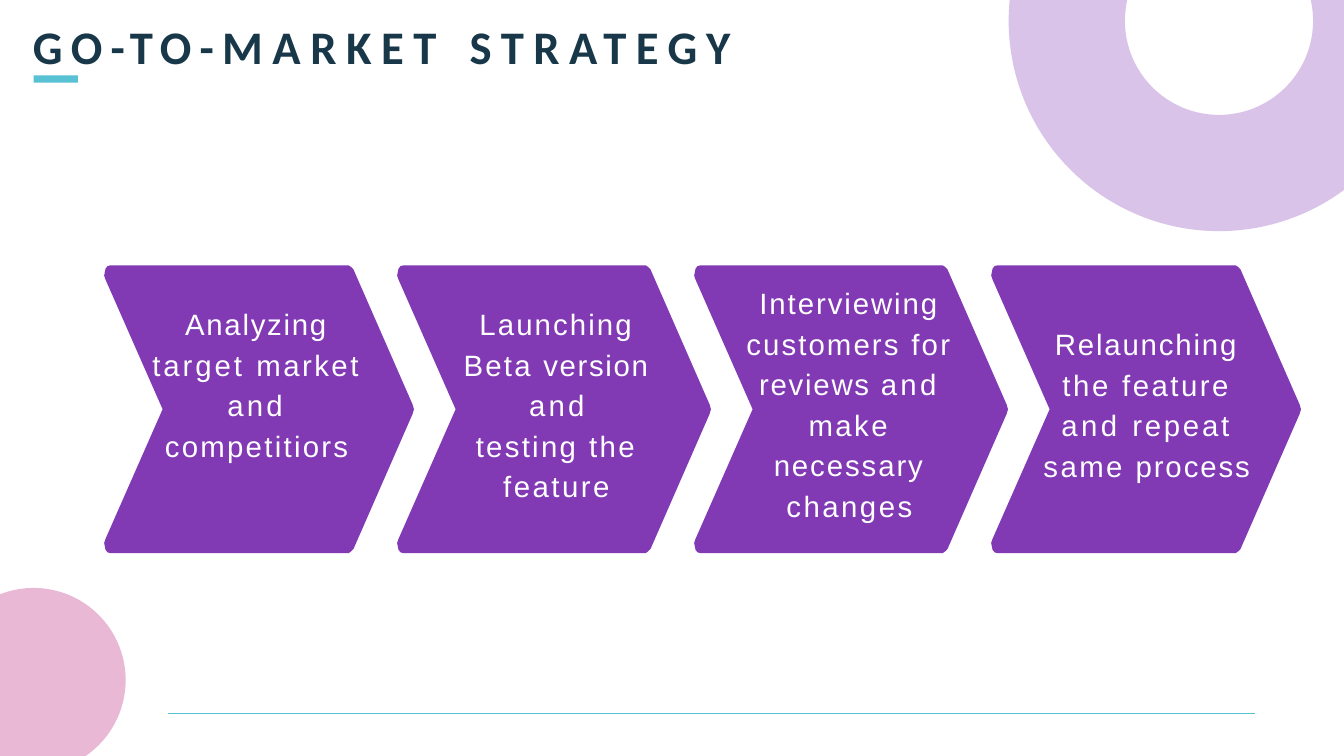
import math
from lxml import etree
from pptx import Presentation
from pptx import util as u
from pptx.dml import color
from pptx.enum import shapes, text
from pptx.oxml import ns

deck = Presentation()
deck.slide_width, deck.slide_height = u.Inches(20), u.Inches(11.25)
col, row = deck.slide_width / 20, deck.slide_height / 11.25
slide = deck.slides.add_slide(deck.slide_layouts[6])
PURPLE, PINK, TEAL, NAVY, WHITE = "823AB4", "BC2F81", "58C1D4", "18384A", "FFFFFF"


def rgb(code):
    return color.RGBColor.from_string(code)


def outline(contours, fill, alpha=100):
    scaled = [[(round(x * col), round(y * row)) for x, y in points] for points in contours]
    builder = slide.shapes.build_freeform(*scaled[0][0], scale=1.0)
    for number, points in enumerate(scaled):
        if number:
            builder.move_to(*points[0])
        builder.add_line_segments(points[1:], close=True)
    figure = builder.convert_to_shape()
    figure.shadow.inherit = False
    figure.line.fill.background()
    figure.fill.solid()
    figure.fill.fore_color.rgb = rgb(fill)
    if alpha < 100:
        paint = figure._element.spPr.find(".//" + ns.qn("a:srgbClr"))
        etree.SubElement(paint, ns.qn("a:alpha")).set("val", str(alpha * 1000))


ring_x, ring_y, outer, inner = 18.14, 0.31, 3.13, 1.4
dot_x, dot_y, dot = 0.5, 10.12, 1.37
arcs = [
    (ring_x, ring_y, outer, math.acos((20 - ring_x) / outer), math.pi + math.asin(ring_y / outer)),
    (ring_x, ring_y, inner, math.pi + math.asin(ring_y / inner), -math.asin(ring_y / inner)),
    (dot_x, dot_y, dot, -math.acos(-dot_x / dot), math.asin((11.25 - dot_y) / dot)),
]
steps = 90
outer_arc, inner_arc, dot_arc = [
    [(x + r * math.cos(start + (end - start) * i / steps),
      y + r * math.sin(start + (end - start) * i / steps)) for i in range(steps + 1)]
    for x, y, r, start, end in arcs
]
outline([outer_arc + inner_arc + [(20, 0)]], PURPLE, 30)
outline([dot_arc + [(0, 11.25)]], PINK, 34)

accent = slide.shapes.add_shape(shapes.MSO_SHAPE.RECTANGLE, *map(int, (0.5 * col, 1.12 * row, 0.66 * col, 0.11 * row)))
accent.shadow.inherit = False
accent.fill.solid()
accent.fill.fore_color.rgb = rgb(TEAL)
accent.line.fill.background()

footer = slide.shapes.add_connector(
    shapes.MSO_CONNECTOR.STRAIGHT, *map(int, (2.5 * col, 10.62 * row, 18.67 * col, 10.62 * row)))
footer.line.color.rgb = rgb(TEAL)
footer.line.width = u.Pt(0.75)
etree.SubElement(footer._element.spPr, ns.qn("a:effectLst"))

top, height = 3.95, 4.28
notch = [(0.87, 2.14), (0.02, 0.21), (0, 0.15), (0.01, 0.1), (0.02, 0.05), (0.05, 0.01), (0.09, 0)]
point = [(-0.97, 0), (-0.94, 0.02), (-0.9, 0.06), (-0.02, 2.07), (0, 2.14)]
chevrons = []
for left, tip in [(1.55, 6.16), (5.91, 10.58), (10.33, 15), (14.75, 19.36)]:
    upper = [(left + x, y) for x, y in notch] + [(tip + x, y) for x, y in point]
    lower = [(x, height - y) for x, y in reversed(upper[1:-1])]
    chevrons.append([(x, top + y) for x, y in upper + lower])
outline(chevrons, PURPLE)

heading = {"name": "Calibri", "size": u.Pt(50), "bold": True}
body = {"name": "Arial", "size": u.Pt(31.5)}
frame_format = {"margin_left": 0, "margin_top": u.Inches(0.01), "margin_right": 0, "margin_bottom": 0,
                "word_wrap": True, "auto_size": text.MSO_AUTO_SIZE.SHAPE_TO_FIT_TEXT}
heading_lines = {"space_before": u.Pt(1)}
body_lines = {"alignment": text.PP_ALIGN.CENTER, "line_spacing": 1.15, "space_before": u.Pt(1)}

passages = [
    ((0.48, 0.25, 10.72, 0.86), heading, NAVY, heading_lines,
     [[("GO-TO-", 8.8), ("MARKET\tSTRATEGY", 10.2)]]),
    ((2.16, 4.47, 3.31, 2.44), body, WHITE, body_lines,
     [[("Analyzing ", 1.9), ("target ", 3.2), ("market ", 2.7), ("and ", 3.5), ("competitiors", 2.5)]]),
    ((6.79, 4.47, 2.98, 3.05), body, WHITE, body_lines,
     [[("Launching ", 2.3), ("Beta ", 2.4), ("version ", 1.8), ("and", 3.5)],
      [("testing ", 2.5), ("the ", 2.6), ("feature", 2.7)]]),
    ((11.09, 4.16, 3.09, 3.65), body, WHITE, body_lines,
     [[("Interviewing ", 2.1), ("customers ", 2.3), ("for ", 2.5), ("reviews ", 1.9),
       ("and ", 3.5), ("make ", 2.6), ("necessary ", 2.1), ("changes", 2.7)]]),
    ((15.5, 4.77, 3.12, 2.44), body, WHITE, body_lines,
     [[("Relaunching ", 2), ("the ", 2.9), ("feature ", 2.7), ("and ", 3.7),
       ("repeat ", 3), ("same ", 2.6), ("process", 2.1)]]),
]
for (x, y, w, h), font_format, ink, line_format, paragraphs in passages:
    frame = slide.shapes.add_textbox(*map(int, (x * col, y * row, w * col, h * row))).text_frame
    for key, value in frame_format.items():
        setattr(frame, key, value)
    for number, pieces in enumerate(paragraphs):
        paragraph = frame.add_paragraph() if number else frame.paragraphs[0]
        for key, value in line_format.items():
            setattr(paragraph, key, value)
        properties = paragraph._p.get_or_add_pPr()
        properties.set("marL", str(u.Inches(0.2 if number else 0.01)))
        properties.set("indent", "0")
        if number:
            paragraph.space_before = u.Pt(0)
            properties.set("marR", str(u.Inches(0.2)))
        if font_format is heading:
            tabs = etree.SubElement(properties, ns.qn("a:tabLst"))
            etree.SubElement(tabs, ns.qn("a:tab"), pos=str(u.Inches(6.64)), algn="l")
        for words, spacing in pieces:
            run = paragraph.add_run()
            run.text = words
            for key, value in font_format.items():
                setattr(run.font, key, value)
            run.font.color.rgb = rgb(ink)
            run._r.get_or_add_rPr().set("spc", str(round(spacing * 100)))

deck.save("out.pptx")
